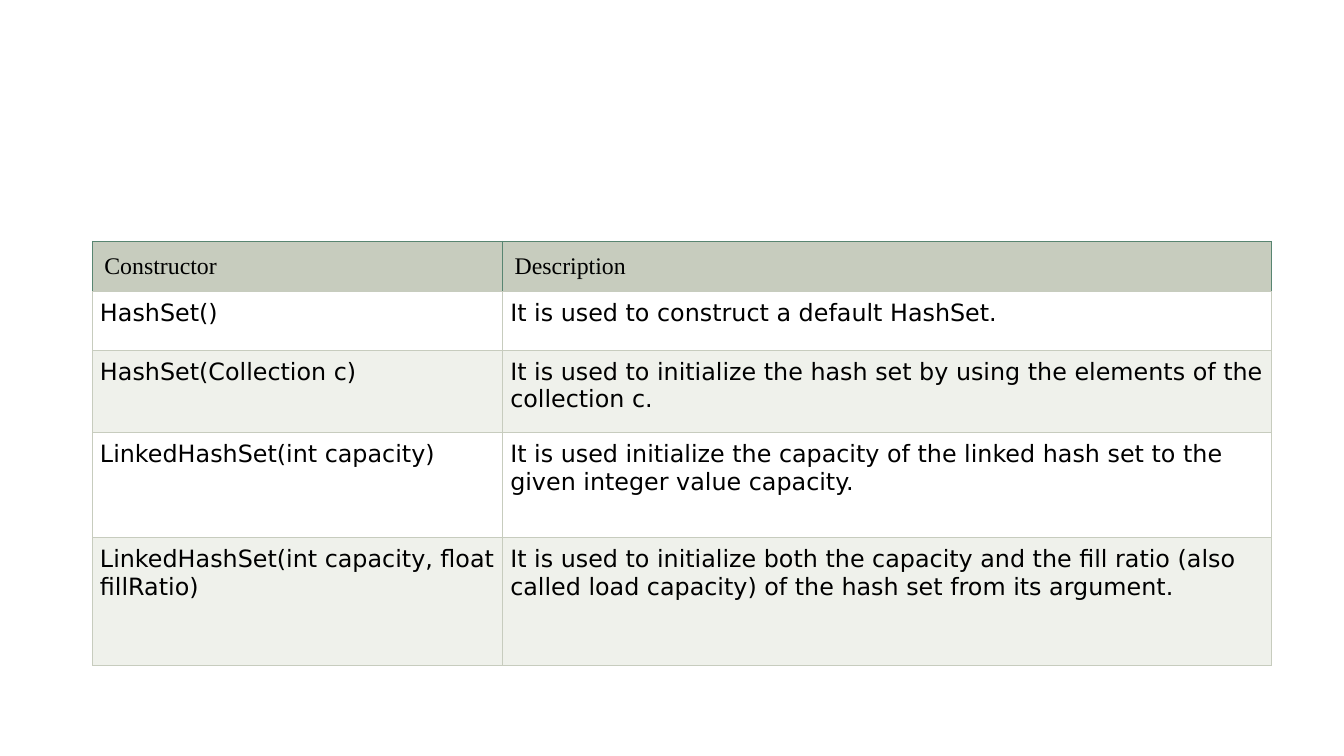
from dataclasses import dataclass

from lxml import etree
from pptx import Presentation
from pptx.dml.color import RGBColor
from pptx.oxml import ns
from pptx.util import Cm, Pt

HEADINGS = ("Constructor", "Description")
CONSTRUCTORS = [
    ("HashSet()", "It is used to construct a default HashSet."),
    ("HashSet(Collection c)",
     "It is used to initialize the hash set by using the elements of the collection c."),
    ("LinkedHashSet(int capacity)",
     "It is used initialize the capacity of the linked hash set to the given integer "
     "value capacity."),
    ("LinkedHashSet(int capacity, float fillRatio)",
     "It is used to initialize both the capacity and the fill ratio (also called load "
     "capacity) of the hash set from its argument."),
]
COLUMN_WIDTHS = (Cm(10.34), Cm(19.38))
ROW_HEIGHTS = (Cm(1.26), Cm(1.48), Cm(2.07), Cm(2.65), Cm(3.23))
TABLE_LEFT, TABLE_TOP = Cm(2.33), Cm(6.08)


@dataclass(frozen=True)
class Theme:
    heading_font: str = "Times New Roman"
    body_font: str = "DejaVu Sans"
    size: float = 17
    text: str = "000000"
    heading_fill: str = "C7CCBE"
    body_fills: tuple = ("EFF1EB", "FFFFFF")
    heading_line: str = "588571"
    body_line: str = "C7CCBE"
    line_width: float = 0.75
    heading_inset: int = Cm(0.3)
    body_inset: int = Cm(0.19)


THEME = Theme()


def set_borders(cell, colours):
    """Draw the left, right, top and bottom borders in the given colours."""
    properties = cell._tc.get_or_add_tcPr()
    for index, (side, colour) in enumerate(zip("LRTB", colours)):
        line = etree.Element(ns.qn(f"a:ln{side}"), w=str(Pt(THEME.line_width)))
        fill = etree.SubElement(line, ns.qn("a:solidFill"))
        etree.SubElement(fill, ns.qn("a:srgbClr"), val=colour)
        properties.insert(index, line)


def fill_cell(cell, wording, font, fill, inset):
    cell.margin_left = cell.margin_right = inset
    cell.margin_top = cell.margin_bottom = inset
    cell.fill.solid()
    cell.fill.fore_color.rgb = RGBColor.from_string(fill)
    cell.text_frame.text = wording
    span = cell.text_frame.paragraphs[0].runs[0]
    span.font.name = font
    span.font.size = Pt(THEME.size)
    span.font.bold = False
    span.font.color.rgb = RGBColor.from_string(THEME.text)


def add_constructor_table(page):
    rows = [HEADINGS, *CONSTRUCTORS]
    table = page.shapes.add_table(
        len(rows), len(HEADINGS), TABLE_LEFT, TABLE_TOP,
        sum(COLUMN_WIDTHS), sum(ROW_HEIGHTS)).table
    for column, width in zip(table.columns, COLUMN_WIDTHS):
        column.width = width
    for row, height in zip(table.rows, ROW_HEIGHTS):
        row.height = height

    for row_number, wordings in enumerate(rows):
        if row_number == 0:
            style = (THEME.heading_font, THEME.heading_fill, THEME.heading_inset)
            borders = [THEME.heading_line] * 3 + [THEME.body_line]
        else:
            style = (THEME.body_font, THEME.body_fills[row_number % 2], THEME.body_inset)
            borders = [THEME.body_line] * 4
        for column_number, wording in enumerate(wordings):
            cell = table.cell(row_number, column_number)
            fill_cell(cell, wording, *style)
            set_borders(cell, borders)


def main():
    deck = Presentation()
    deck.slide_width, deck.slide_height = Cm(33.87), Cm(19.05)
    page = deck.slides.add_slide(deck.slide_layouts[6])
    add_constructor_table(page)
    deck.save("out.pptx")


if __name__ == "__main__":
    main()
